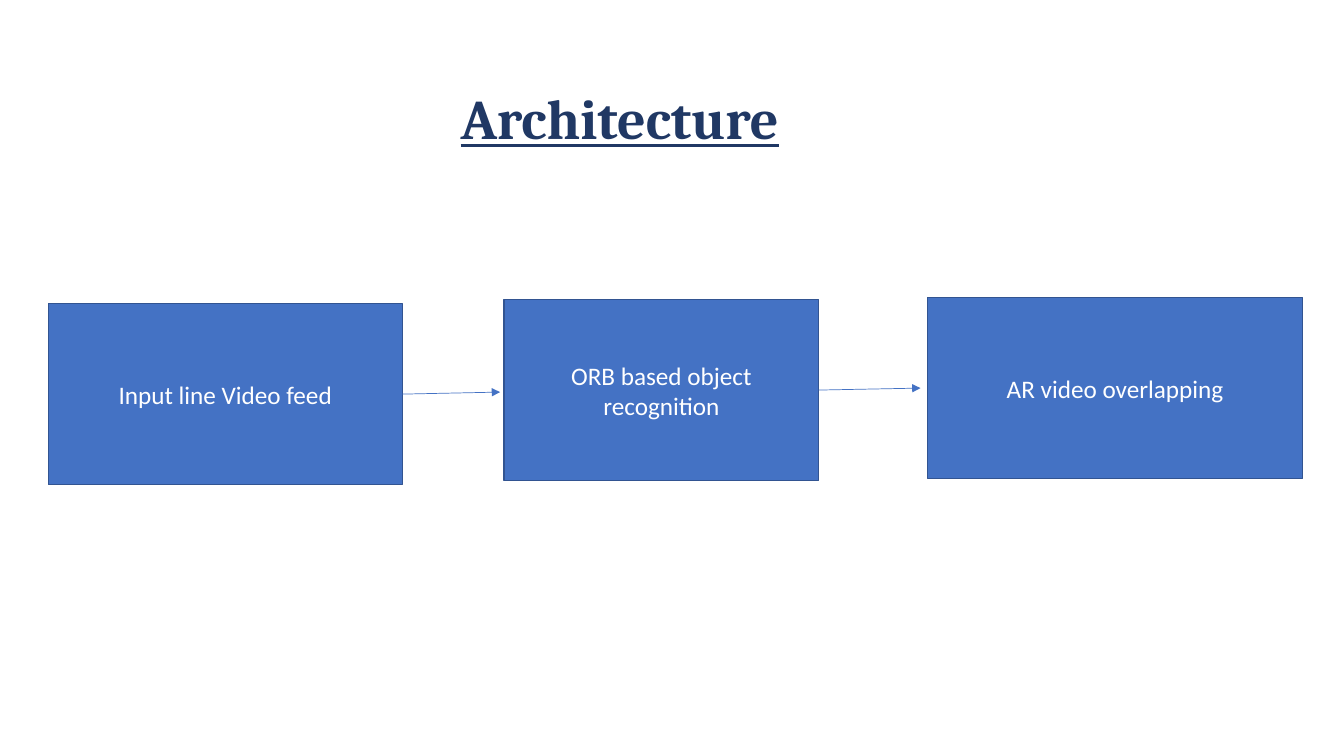
"""Build the Architecture slide: three boxes joined by arrows."""
from lxml.etree import SubElement
from pptx import Presentation
from pptx.dml.color import RGBColor
from pptx.enum.shapes import MSO_CONNECTOR as Line, MSO_SHAPE as Shape
from pptx.enum.text import MSO_ANCHOR as Anchor, MSO_AUTO_SIZE as Fit, PP_ALIGN as Align
from pptx.oxml.ns import qn
from pptx.util import Inches, Pt


def paint(color, value):
    color.rgb = RGBColor.from_string(value)


def write(frame, text, size=18, face="Calibri", color="FFFFFF", bold=False,
          under=False, align=Align.CENTER, anchor=Anchor.MIDDLE):
    frame.word_wrap = True
    frame.vertical_anchor = anchor
    para = frame.paragraphs[0]
    para.alignment = align
    run = para.add_run()
    run.text = text
    font = run.font
    font.size, font.name = Pt(size), face
    font.bold, font.underline = bold, under
    paint(font.color, color)


deck = Presentation()
deck.slide_width, deck.slide_height = Inches(13.33), Inches(7.5)
slide = deck.slides.add_slide(deck.slide_layouts[6])
shapes = slide.shapes

title = shapes.add_textbox(Inches(4.47), Inches(0.78), Inches(5.07), Inches(0.77))
write(title.text_frame, "Architecture", size=40, face="Cambria", color="203864",
      bold=True, under=True, align=Align.LEFT, anchor=Anchor.TOP)
title.text_frame.auto_size = Fit.SHAPE_TO_FIT_TEXT

stages = [
    ("Input line Video feed", 0.48, 3.01, 3.51),
    ("ORB based object recognition", 5, 2.97, 3.12),
    ("AR video overlapping", 9.2, 2.95, 3.72),
]
boxes = []
for text, left, top, width in stages:
    box = shapes.add_shape(Shape.RECTANGLE, Inches(left), Inches(top),
                           Inches(width), Inches(1.8))
    box.shadow.inherit = False
    box.fill.solid()
    paint(box.fill.fore_color, "4472C4")
    paint(box.line.color, "325491")
    box.line.width = Pt(1)
    write(box.text_frame, text)
    boxes.append(box)

tips = [(4.96, 3.89), (9.13, 3.85)]
for box, (x, y) in zip(boxes, tips):
    arrow = shapes.add_connector(Line.STRAIGHT, box.left + box.width,
                                 box.top + box.height // 2, Inches(x), Inches(y))
    arrow.begin_connect(box, 3)
    paint(arrow.line.color, "4472C4")
    arrow.line.width = Pt(0.5)
    SubElement(arrow.line._get_or_add_ln(), qn("a:tailEnd"), type="triangle")
    SubElement(arrow._element.spPr, qn("a:effectLst"))

deck.save("out.pptx")
